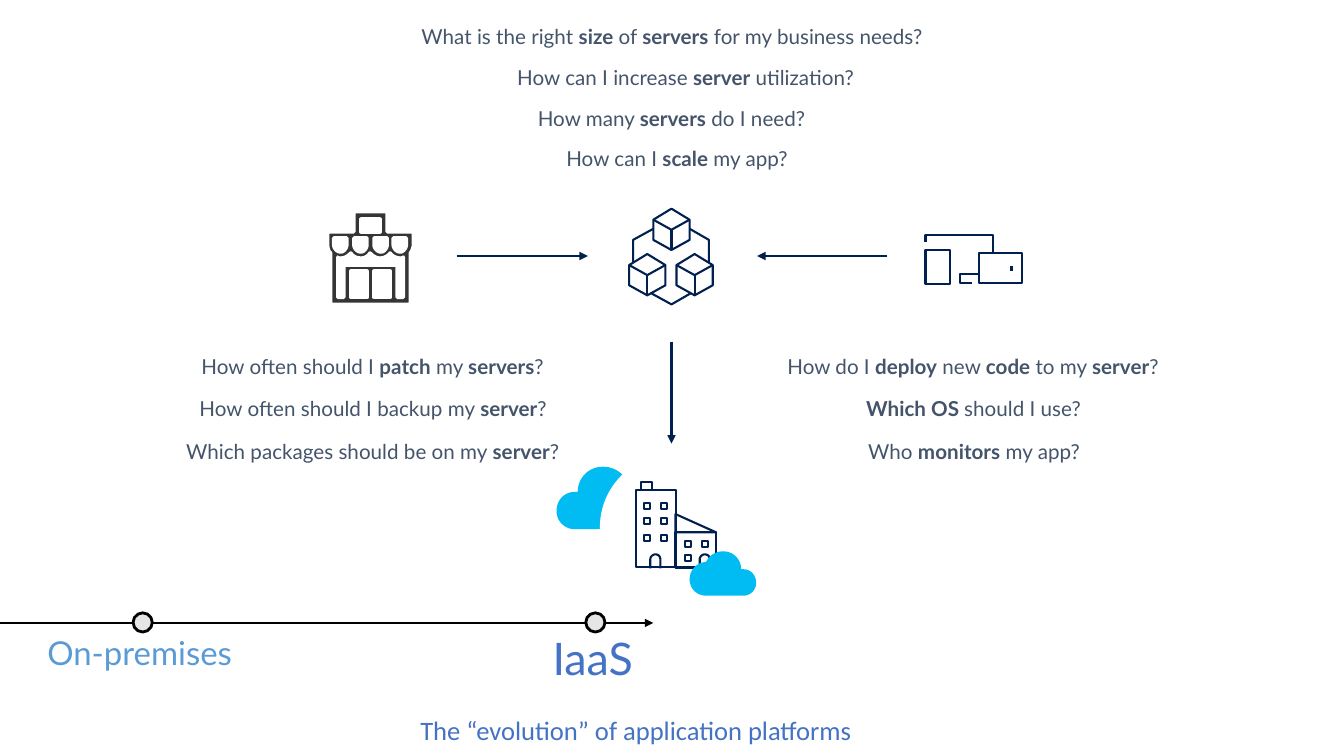
from lxml import etree
from pptx import Presentation
from pptx.dml.color import RGBColor
from pptx.enum.shapes import MSO_CONNECTOR, MSO_SHAPE
from pptx.enum.text import MSO_ANCHOR, MSO_AUTO_SIZE, PP_ALIGN
from pptx.oxml.ns import qn
from pptx.util import Inches, Pt

RECT, OVAL, ROOF = MSO_SHAPE.RECTANGLE, MSO_SHAPE.OVAL, MSO_SHAPE.ISOSCELES_TRIANGLE
STRAIGHT = MSO_CONNECTOR.STRAIGHT
LEFT, CENTER = PP_ALIGN.LEFT, PP_ALIGN.CENTER
TOP, MIDDLE = MSO_ANCHOR.TOP, MSO_ANCHOR.MIDDLE
FIT, FIXED = MSO_AUTO_SIZE.SHAPE_TO_FIT_TEXT, MSO_AUTO_SIZE.NONE

HEX = {"navy": "002050", "cyan": "00BCF2", "blue": "4472C4", "sky": "5B9BD5",
       "slate": "44546A", "coal": "353535", "grey": "E7E6E6",
       "black": "000000", "white": "FFFFFF"}
RGB = {name: RGBColor.from_string(code) for name, code in HEX.items()}

deck = Presentation()
deck.slide_width, deck.slide_height = Inches(13.33), Inches(7.5)
page = deck.slides.add_slide(deck.slide_layouts[6]).shapes


def write(text, x, y, w, h, size=14.7, color="slate", face="Lato", align=CENTER,
          anchor=TOP, wrap=True, fit=FIT, inset=(0.1, 0.05), lead=None, after=None):
    """Add a text box; words between asterisks are bold."""
    frame = page.add_textbox(Inches(x), Inches(y), Inches(w), Inches(h)).text_frame
    frame.word_wrap, frame.auto_size, frame.vertical_anchor = wrap, fit, anchor
    frame.margin_left = frame.margin_right = Inches(inset[0])
    frame.margin_top = frame.margin_bottom = Inches(inset[1])
    para = frame.paragraphs[0]
    para.alignment, para.line_spacing = align, lead
    if after:
        para.space_after = Pt(after)
    for i, part in enumerate(text.split("*")):
        if part:
            run = para.add_run()
            run.text = part
            run.font.name, run.font.size = face, Pt(size)
            run.font.bold = i % 2 == 1
            run.font.color.rgb = RGB[color]


def outline(kit, loops, fill=None, line="navy", size=1.5, close=False):
    """Draw loops of points; a step of six numbers is a Bezier curve."""
    pen = None
    for loop in loops:
        dots = [loop[0]]
        for step in loop[1:]:
            if len(step) == 2:
                dots.append(step)
                continue
            (x0, y0), (x1, y1, x2, y2, x3, y3) = dots[-1], step
            for i in range(1, 13):
                t = i / 12
                a, b, c, d = (1 - t)**3, 3 * t * (1 - t)**2, 3 * t * t * (1 - t), t**3
                dots.append((a * x0 + b * x1 + c * x2 + d * x3,
                             a * y0 + b * y1 + c * y2 + d * y3))
        dots = [(Inches(x), Inches(y)) for x, y in dots]
        if pen is None:
            pen = kit.build_freeform(*dots[0], scale=1.0)
        else:
            pen.move_to(*dots[0])
        pen.add_line_segments(dots[1:], close=close)
    form = pen.convert_to_shape()
    form.shadow.inherit = False
    if fill:
        form.fill.solid()
        form.fill.fore_color.rgb = RGB[fill]
    else:
        form.fill.background()
    if line:
        form.line.color.rgb, form.line.width = RGB[line], Pt(size)
    else:
        form.line.fill.background()


# Clouds: the left one sits behind the town disc, the right one is mirrored
cloud = [(0.21, 0.25), (0.21, 0.11, 0.32, 0, 0.46, 0), (0.57, 0, 0.66, 0.06, 0.7, 0.15),
         (0.83, 0.15, 0.93, 0.26, 0.93, 0.39), (0.93, 0.52, 0.83, 0.62, 0.7, 0.62),
         (0.18, 0.62), (0.08, 0.62, 0, 0.54, 0, 0.44), (0, 0.33, 0.08, 0.25, 0.18, 0.25)]
left, right = [
    [tuple(y + v * abs(zoom) if i % 2 else x + v * zoom for i, v in enumerate(step))
     for step in cloud] for x, y, zoom in [(5.52, 4.63, 1), (7.5, 5.47, -0.71)]]
outline(page, [left], fill="cyan", line=None, close=True)

# Icon groups, each on a white disc
kits = []
for x, y in [(5.95, 4.51), (5.95, 1.85), (2.98, 1.85), (8.92, 1.85)]:
    kit = page.add_group_shape().shapes
    disc = kit.add_shape(OVAL, Inches(x), Inches(y), Inches(1.44), Inches(1.44))
    disc.shadow.inherit = False
    disc.fill.solid()
    disc.fill.fore_color.rgb = RGB["white"]
    disc.line.fill.background()
    kits.append(kit)
town, blocks, shop, gear = kits

# Cubes and the links between them
strokes = []
for x, y in [(6.89, 2.52), (6.42, 2.52), (6.66, 2.07)]:
    a, b = x - 0.18, x + 0.18
    outline(blocks, [[(a, y + 0.11), (x, y), (b, y + 0.11), (b, y + 0.31),
                      (x, y + 0.41), (a, y + 0.31)]], close=True)
    outline(blocks, [[(b, y + 0.11), (x, y + 0.21), (a, y + 0.11)]])
    strokes.append((blocks, x, y + 0.21, x, y + 0.41, "navy", 1.5, False))
for link in [[(6.85, 2.91), (6.66, 3.02), (6.46, 2.91)],
             [(6.84, 2.27), (7.03, 2.38), (7.03, 2.6)],
             [(6.28, 2.6), (6.28, 2.38), (6.48, 2.27)]]:
    outline(blocks, [link])

# Straight lines and arrows
strokes += [(gear, 10.03, 2.69, 10.03, 2.64, "navy", 2, False),
            (page, 0, 6.18, 6.48, 6.18, "black", 2, True),
            (page, 4.53, 2.54, 5.83, 2.54, "navy", 2, True),
            (page, 8.8, 2.54, 7.51, 2.54, "navy", 2, True),
            (page, 6.66, 3.39, 6.66, 4.4, "navy", 2, True)]
for kit, x1, y1, x2, y2, color, size, head in strokes:
    wire = kit.add_connector(STRAIGHT, Inches(x1), Inches(y1), Inches(x2), Inches(y2))
    wire.line.color.rgb, wire.line.width = RGB[color], Pt(size)
    if head:
        etree.SubElement(wire.line._get_or_add_ln(), qn("a:tailEnd"), type="triangle")
    etree.SubElement(wire._element.spPr, qn("a:effectLst"))

# Buildings, windows, devices and timeline dots
boxes = [(town, RECT, 6.31, 4.86, 0.4, 0.77), (town, RECT, 6.36, 4.78, 0.11, 0.08),
         (town, RECT, 6.7, 5.28, 0.4, 0.35), (town, ROOF, 6.7, 5.1, 0.4, 0.18),
         (gear, RECT, 9.18, 2.48, 0.24, 0.34), (gear, RECT, 9.71, 2.51, 0.43, 0.3),
         (page, OVAL, 1.32, 6.08, 0.19, 0.19), (page, OVAL, 5.81, 6.08, 0.19, 0.19)]
panes = [(x, y) for y in (4.99, 5.14, 5.31) for x in (6.39, 6.56)]
panes += [(6.79, 5.37), (6.96, 5.37), (6.79, 5.51)]
boxes += [(town, RECT, x, y, 0.06, 0.06) for x, y in panes]
for kit, kind, x, y, w, h in boxes:
    box = kit.add_shape(kind, Inches(x), Inches(y), Inches(w), Inches(h))
    box.shadow.inherit = False
    if kind == ROOF:
        box.adjustments[0] = 0
    if kind == OVAL:
        box.fill.solid()
        box.fill.fore_color.rgb = RGB["grey"]
    else:
        box.fill.background()
    box.line.color.rgb = RGB["black" if kind == OVAL else "navy"]
    box.line.width = Pt(2 if kind == OVAL else 1.5)

# Arched doors and device cables
for x in (6.45, 6.94):
    outline(town, [[(x + 0.1, 5.64), (x + 0.1, 5.55),
                    (x + 0.1, 5.52, x + 0.08, 5.5, x + 0.05, 5.5),
                    (x + 0.03, 5.5, x, 5.52, x, 5.55), (x, 5.64)]])
outline(gear, [[(9.71, 2.72), (9.52, 2.72), (9.52, 2.81), (9.64, 2.81)]])
outline(gear, [[(9.18, 2.4), (9.18, 2.33), (9.85, 2.33), (9.85, 2.51)]])

# Shop: silhouette, wall, then openings and awning
front = [
    [(3.28, 3.02), (4.07, 3.02), (4.07, 2.51), (4.08, 2.5, 4.1, 2.46, 4.1, 2.43),
     (4.1, 2.3), (3.84, 2.3), (3.84, 2.1), (3.51, 2.1), (3.51, 2.3), (3.25, 2.3),
     (3.25, 2.43), (3.25, 2.46, 3.26, 2.5, 3.28, 2.51)],
    [(3.94, 2.95), (3.94, 2.63), (3.41, 2.63), (3.41, 2.95), (3.35, 2.95), (3.35, 2.55),
     (3.35, 2.56, 3.37, 2.56, 3.38, 2.56), (3.42, 2.56, 3.45, 2.54, 3.48, 2.51),
     (3.5, 2.54, 3.53, 2.56, 3.58, 2.56), (3.62, 2.56, 3.65, 2.54, 3.67, 2.51),
     (3.7, 2.54, 3.73, 2.56, 3.77, 2.56), (3.81, 2.56, 3.85, 2.54, 3.87, 2.51),
     (3.89, 2.54, 3.93, 2.56, 3.97, 2.56), (3.98, 2.56, 3.99, 2.56, 4, 2.55), (4, 2.95)]]
for a, b, c, d in [(3.48, 2.69, 3.64, 2.95), (3.71, 2.69, 3.87, 2.95),
                   (3.58, 2.17, 3.77, 2.3)]:
    front.append([(a, b), (c, b), (c, d), (a, d)])
for x in (3.31, 3.51, 3.71, 3.9):
    front.append([(x, 2.36), (x + 0.13, 2.36), (x + 0.13, 2.43),
                  (x + 0.13, 2.46, x + 0.1, 2.5, x + 0.07, 2.5),
                  (x + 0.03, 2.5, x, 2.46, x, 2.43)])
outline(shop, front, fill="coal", line="white", size=2.5, close=True)
outline(page, [right], fill="cyan", line=None, close=True)

# Questions
for text, x, y, w in [
        ("What is the right *size* of *servers* for my business needs?", 3.61, 0.19, 6.11),
        ("How can I increase *server* utilization?", 4.87, 0.59, 3.86),
        ("How many *servers* do I need?", 4.59, 1, 4.14),
        ("How can I *scale* my app?", 5.43, 1.4, 2.57),
        ("How often should I *patch* my *servers*?", 1.65, 3.46, 4.09),
        ("How often should I backup my *server*?", 1.84, 3.88, 3.72),
        ("Which packages should be on my *server*?", 1.55, 4.31, 4.29),
        ("How do I *deploy* new *code* to my *server*?", 7, 3.46, 5.3),
        ("*Which OS *should I use?", 8.3, 3.88, 2.71),
        ("Who *monitors* my app?", 7.42, 4.31, 4.48)]:
    write(text, x, y, w, 0.35)

# Timeline labels and caption
for text, x, w, h, size, color in [("On-premises", 0.27, 2.26, 0.67, 23.5, "sky"),
                                   ("IaaS", 5.28, 1.21, 0.8, 32, "blue")]:
    write(text, x, 6.16, w, h, size=size, color=color, align=LEFT, wrap=False,
          inset=(0.2, 0.16), lead=0.9, after=5.9)
write("The “evolution” of application platforms", 4.07, 7.07, 5.19, 0.35, size=19,
      color="blue", face="Calibri", align=LEFT, anchor=MIDDLE, fit=FIXED)

deck.save("out.pptx")
